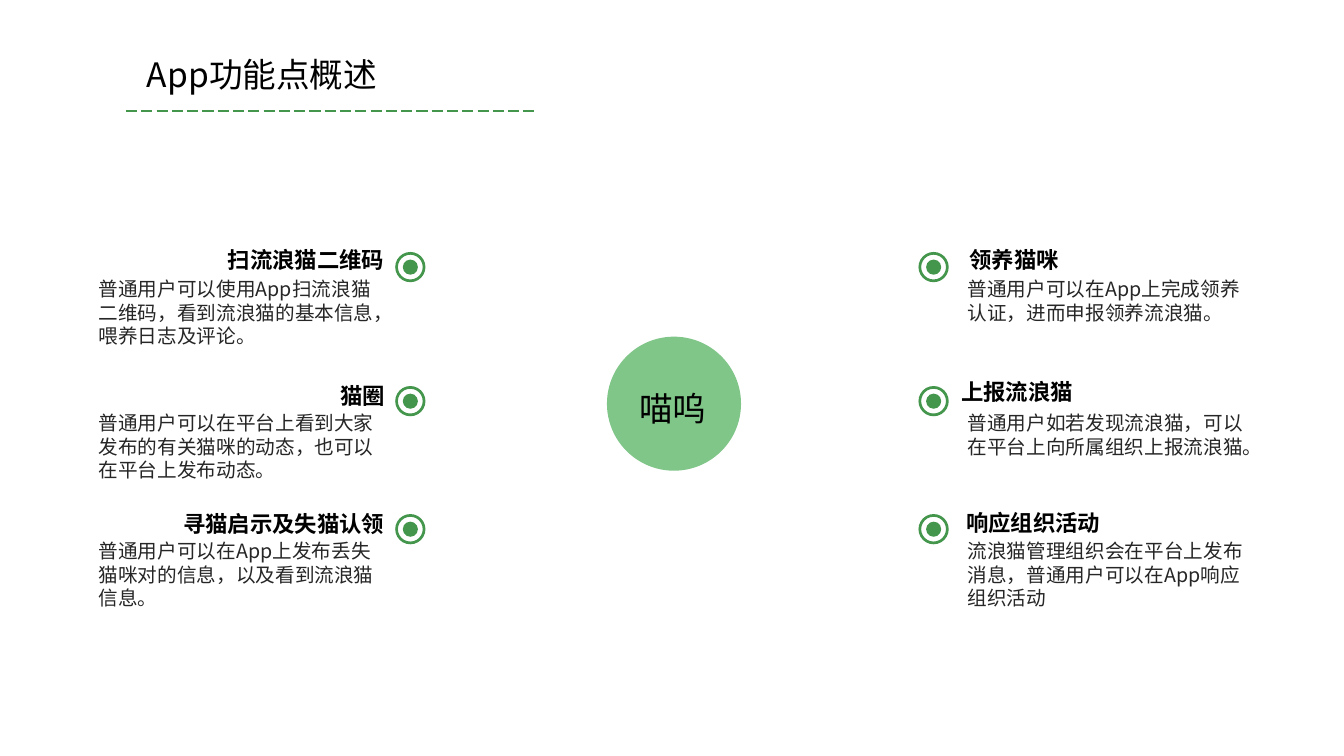
from lxml import etree
from pptx import Presentation
from pptx.dml.color import RGBColor
from pptx.enum.dml import MSO_LINE
from pptx.enum.shapes import MSO_CONNECTOR, MSO_SHAPE
from pptx.enum.text import MSO_AUTO_SIZE, PP_ALIGN
from pptx.oxml.ns import qn
from pptx.util import Inches, Pt

GREEN = RGBColor(0x43, 0x96, 0x4C)
LIGHT = RGBColor(0x80, 0xC6, 0x88)
BLACK = RGBColor(0, 0, 0)
GREY = RGBColor(0x26, 0x26, 0x26)
SANS = "Noto Sans CJK SC"

DOTS = [2.5, 3.83, 5.1]
LEFT = [
    ("扫流浪猫二维码", 2.14, 2.39, 1.77,
     "普通用户可以使用App扫流浪猫二维码，看到流浪猫的基本信息，喂养日志及评论。", 0.81),
    ("猫圈", 3.27, 3.74, 0.65,
     "普通用户可以在平台上看到大家发布的有关猫咪的动态，也可以在平台上发布动态。", 0.81),
    ("寻猫启示及失猫认领", 1.69, 5.01, 2.22,
     "普通用户可以在App上发布丢失猫咪对的信息，以及看到流浪猫信息。", 0.81),
]
RIGHT = [
    ("领养猫咪", 9.5, 2.39, 1.1,
     "普通用户可以在App上完成领养认证，进而申报领养流浪猫。", 0.57),
    ("上报流浪猫", 9.42, 3.7, 1.32,
     "普通用户如若发现流浪猫，可以在平台上向所属组织上报流浪猫。", 0.57),
    ("响应组织活动", 9.46, 5, 1.55,
     "流浪猫管理组织会在平台上发布消息，普通用户可以在App响应组织活动", 0.81),
]


def add_text(slide, box, words, size, color=BLACK, font=SANS, head=False):
    """Add a one-run text box, bold and right-aligned if it is a heading."""
    frame = slide.shapes.add_textbox(*map(Inches, box)).text_frame
    frame.word_wrap = not head
    frame.auto_size = MSO_AUTO_SIZE.SHAPE_TO_FIT_TEXT
    para = frame.paragraphs[0]
    para.alignment = PP_ALIGN.RIGHT if head else PP_ALIGN.LEFT
    run = para.add_run()
    run.text = words
    run.font.size = Pt(size)
    run.font.bold = head
    run.font.name = font
    run.font.color.rgb = color


def add_round(slide, kind, left, top, size, color):
    """Add a plain round shape and return it."""
    shape = slide.shapes.add_shape(kind, *map(Inches, (left, top, size, size)))
    shape.shadow.inherit = False
    shape.fill.solid()
    shape.fill.fore_color.rgb = color
    shape.line.fill.background()
    return shape


def add_mark(slide, left, top):
    """Add a ring with a dot in its centre."""
    ring = add_round(slide, MSO_SHAPE.DONUT, left, top, 0.3, GREEN)
    ring.adjustments[0] = 0.09
    add_round(slide, MSO_SHAPE.OVAL, left + 0.075, top + 0.075, 0.15, GREEN)


def add_side(slide, items, mark, edge):
    """Add one column of marked features."""
    for top, (title, left, high, width, words, tall) in zip(DOTS, items):
        add_mark(slide, mark, top)
        add_text(slide, (left, high, width, 0.37), title, 16, head=True)
        add_text(slide, (edge, top + 0.2, 3.04, tall), words, 14, GREY)


def add_rule(slide):
    """Add the dashed line under the title."""
    ends = map(Inches, (1.25, 1.1, 5.33, 1.1))
    rule = slide.shapes.add_connector(MSO_CONNECTOR.STRAIGHT, *ends)
    rule.line.color.rgb = GREEN
    rule.line.width = Pt(1)
    rule.line.dash_style = MSO_LINE.LONG_DASH
    etree.SubElement(rule._element.spPr, qn("a:effectLst"))


def main():
    """Build the slide and save it."""
    deck = Presentation()
    deck.slide_width = Inches(13.33)
    deck.slide_height = Inches(7.5)
    slide = deck.slides.add_slide(deck.slide_layouts[6])
    add_round(slide, MSO_SHAPE.OVAL, 6.02, 3.34, 1.33, LIGHT)
    add_side(slide, RIGHT, 9.11, 9.5)
    add_side(slide, LEFT, 3.92, 0.88)
    add_rule(slide)
    add_text(slide, (1.36, 0.49, 3.97, 0.5), "App功能点概述", 24)
    add_text(slide, (6.24, 3.8, 0.93, 0.5), "喵呜", 24, font="Calibri")
    deck.save("out.pptx")


if __name__ == "__main__":
    main()
